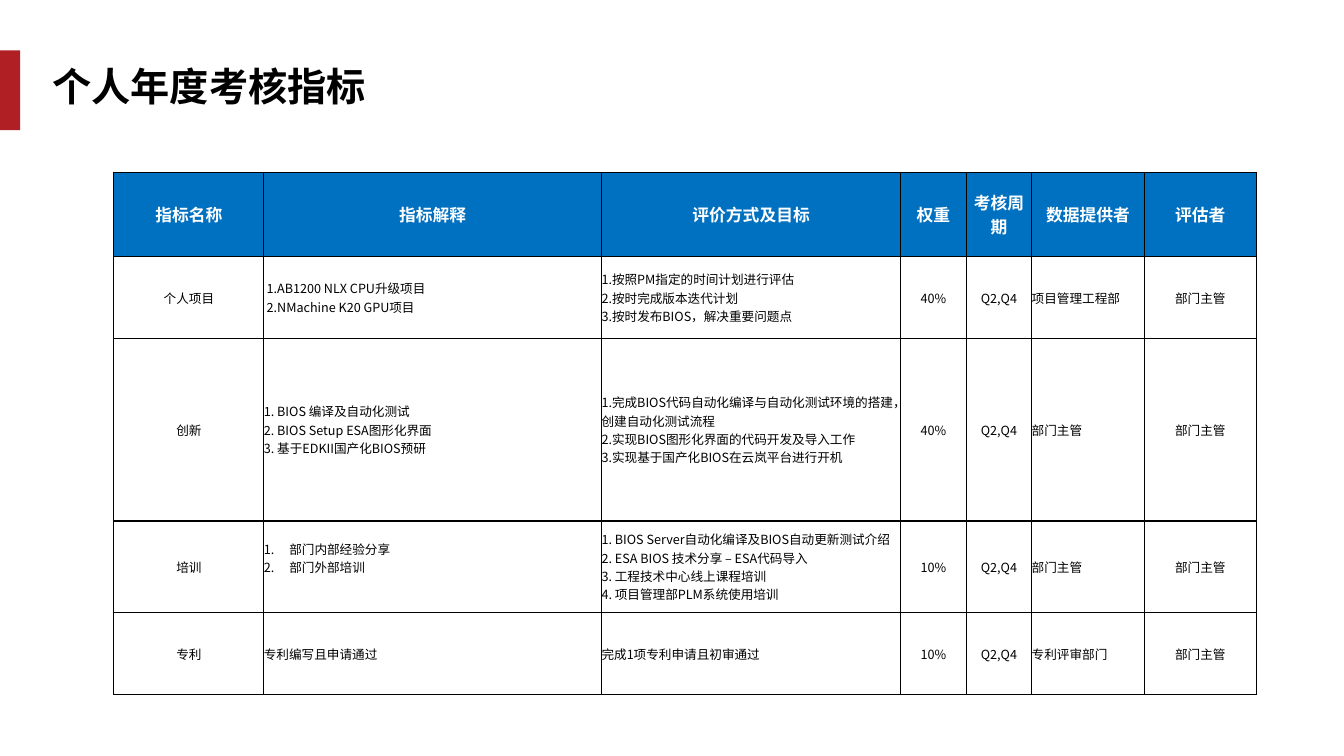
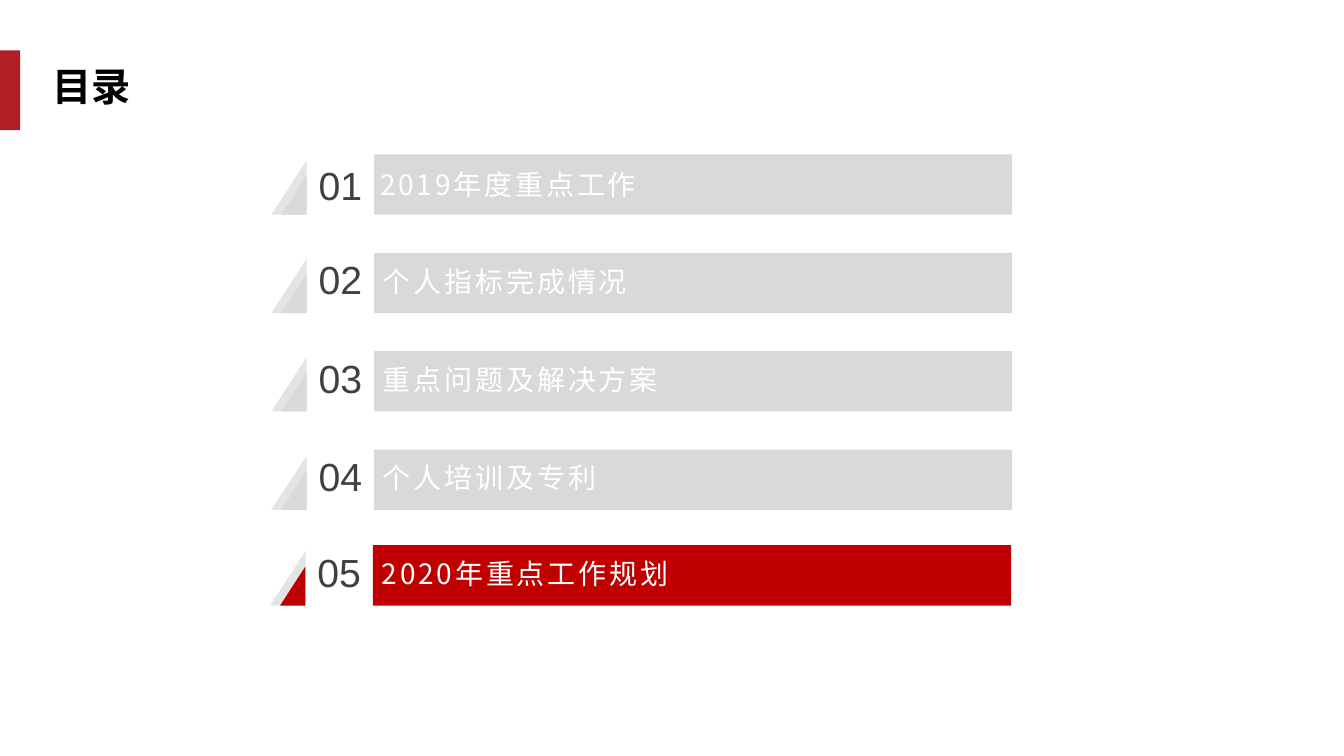
from lxml import etree
from pptx import Presentation
from pptx.dml.color import RGBColor
from pptx.enum.shapes import MSO_SHAPE
from pptx.enum.text import MSO_ANCHOR as ANCHOR, MSO_AUTO_SIZE as AUTO_SIZE, PP_ALIGN as ALIGN
from pptx.oxml.ns import qn
from pptx.util import Cm, Pt

BLACK = RGBColor(0x00, 0x00, 0x00)
WHITE = RGBColor(0xFF, 0xFF, 0xFF)
BAND_RED = RGBColor(0xB0, 0x1F, 0x24)
HEADER_BLUE = RGBColor(0x00, 0x70, 0xC0)
LIGHT_GREY = RGBColor(0xE4, 0xE4, 0xE4)
BAR_GREY = RGBColor(0xD9, 0xD9, 0xD9)
ACTIVE_RED = RGBColor(0xC0, 0x00, 0x00)
NUMBER_GREY = RGBColor(0x40, 0x40, 0x40)

CJK = "Noto Sans CJK SC"
TITLE_FORMAT = {"name": CJK, "size": Pt(28), "bold": True, "color": BLACK}
HEADER_FORMAT = {"name": CJK, "size": Pt(12), "bold": True, "color": WHITE}
BODY_FORMAT = {"name": CJK, "size": Pt(9), "bold": False, "color": BLACK}
NUMBER_FORMAT = {"name": "Arial", "size": Pt(28), "color": NUMBER_GREY}
LABEL_FORMAT = {"name": CJK, "size": Pt(20), "color": WHITE}

COLUMN_WIDTHS = [3.78, 8.51, 7.54, 1.65, 1.65, 2.84, 2.82]
COLUMN_ALIGNS = [ALIGN.CENTER, ALIGN.LEFT, ALIGN.LEFT, ALIGN.CENTER,
                 ALIGN.CENTER, ALIGN.LEFT, ALIGN.CENTER]
ROW_HEIGHTS = [2.13, 2.06, 4.6, 2.31, 2.06]
HEADINGS = ["指标名称", "指标解释", "评价方式及目标", "权重", "考核周期", "数据提供者", "评估者"]
INDICATORS = [
    ["个人项目",
     " 1.AB1200 NLX CPU升级项目\n 2.NMachine K20 GPU项目",
     "1.按照PM指定的时间计划进行评估\n2.按时完成版本迭代计划\n3.按时发布BIOS，解决重要问题点",
     "40%", "Q2,Q4", "项目管理工程部", "部门主管"],
    ["创新",
     "1. BIOS 编译及自动化测试\n2. BIOS Setup ESA图形化界面\n3. 基于EDKII国产化BIOS预研",
     "1.完成BIOS代码自动化编译与自动化测试环境的搭建，创建自动化测试流程\n"
     "2.实现BIOS图形化界面的代码开发及导入工作\n3.实现基于国产化BIOS在云岚平台进行开机",
     "40%", "Q2,Q4", "部门主管", "部门主管"],
    ["培训",
     "部门内部经验分享\n部门外部培训",
     "1. BIOS Server自动化编译及BIOS自动更新测试介绍\n2. ESA BIOS 技术分享 – ESA代码导入\n"
     "3. 工程技术中心线上课程培训\n4. 项目管理部PLM系统使用培训",
     "10%", "Q2,Q4", "部门主管", "部门主管"],
    ["专利", "专利编写且申请通过", "完成1项专利申请且初审通过",
     "10%", "Q2,Q4", "专利评审部门", "部门主管"],
]
NUMBERED_CELL = (3, 1)

AGENDA = ["2019年度重点工作", "个人指标完成情况", "重点问题及解决方案",
          "个人培训及专利", "2020年重点工作规划"]
ACTIVE_ITEM = 4
AGENDA_PITCH = 2.48


def format_text(text_frame, text_format, align=ALIGN.LEFT):
    """Apply a dict of font values to every run."""
    for paragraph in text_frame.paragraphs:
        paragraph.alignment = align
        for run in paragraph.runs:
            for key, value in text_format.items():
                if key == "color":
                    run.font.color.rgb = value
                else:
                    setattr(run.font, key, value)
            properties = run._r.get_or_add_rPr()
            etree.SubElement(properties, qn("a:ea")).set("typeface", text_format["name"])


def set_margins(target, left=0, top=0, right=0, bottom=0):
    sides = {"left": left, "top": top, "right": right, "bottom": bottom}
    for side, value in sides.items():
        setattr(target, f"margin_{side}", Cm(value))


def paint(shape, color):
    shape.shadow.inherit = False
    shape.fill.solid()
    shape.fill.fore_color.rgb = color
    shape.line.fill.background()


def add_layout_band(layout, slide):
    """Put the red edge band on the layout, so that all slides share it."""
    band = slide.shapes.add_shape(MSO_SHAPE.RECTANGLE, 0, Cm(1.27), Cm(0.51), Cm(2.01))
    paint(band, BAND_RED)
    band.element.nvSpPr.cNvPr.set("id", "99")
    layout.shapes.element.append(band.element)


def set_title(slide, text, width):
    title = slide.shapes.title
    box = {"left": 1.07, "top": 1.57, "width": width, "height": 1.45}
    for key, value in box.items():
        setattr(title, key, Cm(value))
    frame = title.text_frame
    frame.text = text
    frame.word_wrap = False
    frame.auto_size = AUTO_SIZE.SHAPE_TO_FIT_TEXT
    frame.vertical_anchor = ANCHOR.TOP
    frame.paragraphs[0].line_spacing = 0.9
    format_text(frame, TITLE_FORMAT)


def set_borders(cell):
    properties = cell._tc.get_or_add_tcPr()
    for index, side in enumerate(("lnL", "lnR", "lnT", "lnB")):
        line = etree.Element(qn(f"a:{side}"), w=str(Pt(1)))
        fill = etree.SubElement(line, qn("a:solidFill"))
        etree.SubElement(fill, qn("a:srgbClr")).set("val", str(BLACK))
        properties.insert(index, line)


def number_paragraphs(cell):
    for paragraph in cell.text_frame.paragraphs:
        properties = paragraph._p.get_or_add_pPr()
        properties.set("marL", str(Cm(0.64)))
        properties.set("indent", str(-Cm(0.64)))
        etree.SubElement(properties, qn("a:buAutoNum")).set("type", "arabicPeriod")


def add_indicator_table(slide, left, top):
    rows = [HEADINGS] + INDICATORS
    table = slide.shapes.add_table(
        len(rows), len(HEADINGS), Cm(left), Cm(top),
        Cm(sum(COLUMN_WIDTHS)), Cm(sum(ROW_HEIGHTS))).table
    table.horz_banding = False
    for column, width in zip(table.columns, COLUMN_WIDTHS):
        column.width = Cm(width)
    for row_index, texts in enumerate(rows):
        table.rows[row_index].height = Cm(ROW_HEIGHTS[row_index])
        is_header = row_index == 0
        for column_index, text in enumerate(texts):
            cell = table.cell(row_index, column_index)
            cell.text = text
            cell.vertical_anchor = ANCHOR.MIDDLE
            set_margins(cell)
            if is_header:
                cell.fill.solid()
                cell.fill.fore_color.rgb = HEADER_BLUE
                format_text(cell.text_frame, HEADER_FORMAT, ALIGN.CENTER)
            else:
                cell.fill.background()
                format_text(cell.text_frame, BODY_FORMAT, COLUMN_ALIGNS[column_index])
            set_borders(cell)
    numbered = table.cell(*NUMBERED_CELL)
    number_paragraphs(numbered)
    numbered.margin_bottom = Cm(0.46)


def add_outline(slide, contours, color):
    """Draw closed contours, given in cm, as one shape."""
    builder = None
    for contour in contours:
        points = [(Cm(x), Cm(y)) for x, y in contour]
        if builder is None:
            builder = slide.shapes.build_freeform(*points[0])
        else:
            builder.move_to(*points[0])
        builder.add_line_segments(points[1:], close=True)
    paint(builder.convert_to_shape(), color)


def add_text(slide, left, top, width, height, text, text_format, align=ALIGN.LEFT):
    box = slide.shapes.add_textbox(Cm(left), Cm(top), Cm(width), Cm(height))
    frame = box.text_frame
    frame.text = text
    frame.word_wrap = True
    frame.vertical_anchor = ANCHOR.MIDDLE
    set_margins(frame)
    format_text(frame, text_format, align)
    return box


def add_agenda_item(slide, left, top, number, label, color, lift, indent):
    """Draw one agenda row: folded corner, number, bar and label."""
    height, corner_right, bar_left, bar_right = 1.52, 0.89, 2.59, 18.67
    bottom = top + height
    corner = [(left + corner_right, top + 0.15), (left + corner_right, bottom), (left, bottom)]
    fold = [(left + corner_right, top + 0.53), (left + corner_right, bottom),
            (left + 0.25, bottom)]
    bar = [(left + bar_left, top), (left + bar_right, top),
           (left + bar_right, bottom), (left + bar_left, bottom)]
    add_outline(slide, [corner], LIGHT_GREY)
    add_outline(slide, [fold, bar], color)
    add_text(slide, left + corner_right, top - lift, bar_left - corner_right, height,
             f"{number:02d}", NUMBER_FORMAT, ALIGN.CENTER)
    label_box = add_text(slide, left + bar_left + indent, top - lift / 2,
                         bar_right - bar_left - indent, height, label, LABEL_FORMAT)
    for properties in label_box.element.iter(qn("a:rPr")):
        properties.set("spc", "200")


def add_agenda(slide, left, top):
    for index, label in enumerate(AGENDA):
        is_active = index == ACTIVE_ITEM
        # The active row sits slightly up and to the left
        add_agenda_item(
            slide,
            left - (0.03 if is_active else 0),
            top + index * AGENDA_PITCH - (0.07 if is_active else 0),
            index + 1, label,
            ACTIVE_RED if is_active else BAR_GREY,
            lift=0.1 if index else 0,
            indent=0.22 if index else 0.15)


def main():
    presentation = Presentation()
    presentation.slide_width = Cm(33.87)
    presentation.slide_height = Cm(19.05)
    layout = presentation.slide_layouts[5]

    # Yearly indicators
    slide = presentation.slides.add_slide(layout)
    add_layout_band(layout, slide)
    set_title(slide, "个人年度考核指标", 8.48)
    add_indicator_table(slide, 2.87, 4.34)

    # Agenda
    slide = presentation.slides.add_slide(layout)
    set_title(slide, "目录", 2.51)
    add_agenda(slide, 6.84, 3.89)

    presentation.save("out.pptx")


if __name__ == "__main__":
    main()
